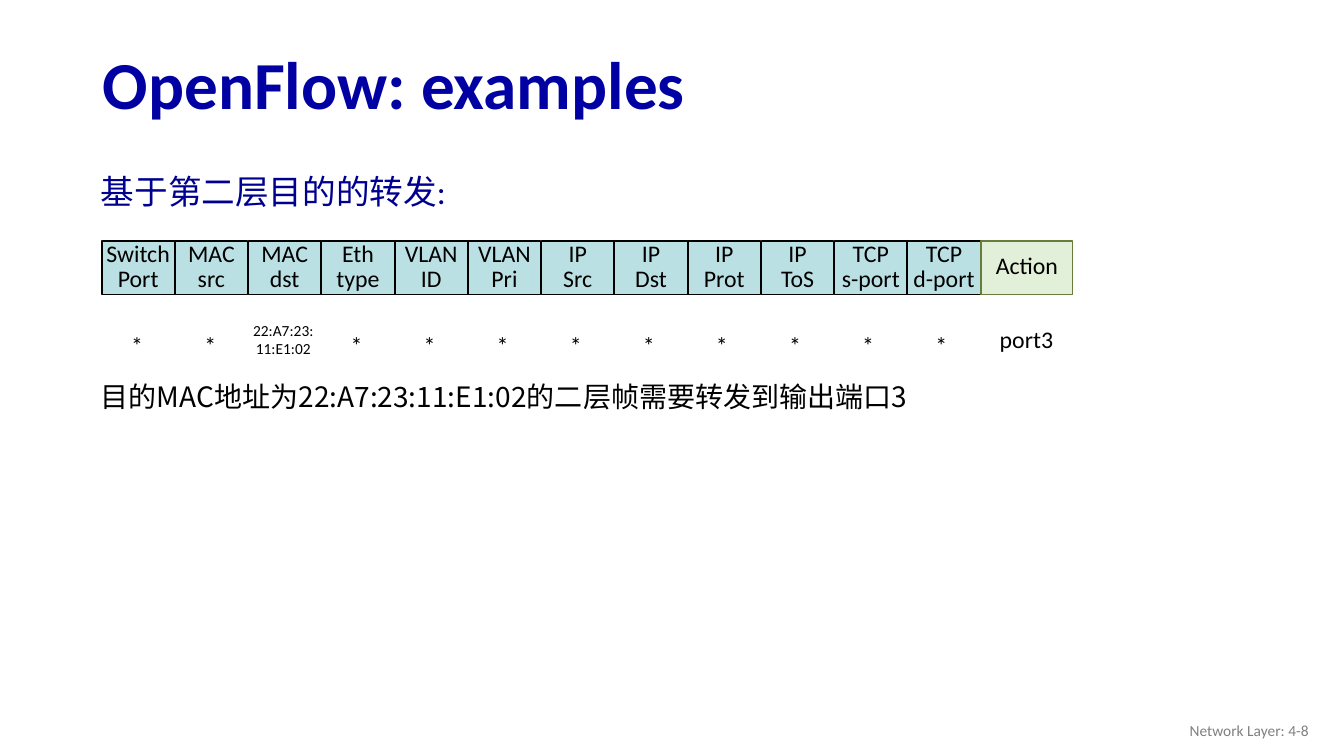
import pptx
import pptx.dml.color
import pptx.enum.shapes
import pptx.enum.text
import pptx.oxml.ns
import pptx.util
from lxml import etree

Inches = pptx.util.Inches
Pt = pptx.util.Pt
RGBColor = pptx.dml.color.RGBColor
ALIGN = pptx.enum.text.PP_ALIGN
MIDDLE = pptx.enum.text.MSO_ANCHOR.MIDDLE

TITLE_BLUE = RGBColor(0x00, 0x00, 0xA3)
HEADING_BLUE = RGBColor(0x00, 0x00, 0x90)
BLACK = RGBColor(0x00, 0x00, 0x00)
GREY = RGBColor(0x80, 0x80, 0x80)
MATCH_FILL = RGBColor(0xBB, 0xE0, 0xE3)
ACTION_FILL = RGBColor(0xE2, 0xF0, 0xD9)
ACTION_LINE = RGBColor(0x69, 0x7D, 0x3A)

LATIN_FONT = "Calibri"
CHINESE_FONT = "Noto Sans CJK SC"

MATCH_FIELDS = ["Switch\nPort", "MAC\nsrc", "MAC\ndst", "Eth\ntype",
                "VLAN\nID", "VLAN\nPri", "IP\nSrc", "IP\nDst",
                "IP\nProt", "IP\nToS", "TCP\ns-port", "TCP\nd-port"]
MAC_DST = MATCH_FIELDS.index("MAC\ndst")
MAC_ADDRESS = "22:A7:23:\n11:E1:02"


def set_values(target, values):
    for attribute, value in values.items():
        setattr(target, attribute, value)


def write(shape, text, size, color=BLACK, font=LATIN_FONT, bold=False,
          align=ALIGN.LEFT, spacing=1.0, inset=0, wrap=True):
    """Fill a shape with text, one paragraph for each line."""
    frame = shape.text_frame
    margins = ("margin_left", "margin_right", "margin_top", "margin_bottom")
    set_values(frame, dict.fromkeys(margins, Inches(inset)))
    set_values(frame, {"text": text, "vertical_anchor": MIDDLE, "word_wrap": wrap})
    for paragraph in frame.paragraphs:
        set_values(paragraph, {"alignment": align, "line_spacing": spacing})
        for run in paragraph.runs:
            set_values(run.font, {"size": Pt(size), "name": font, "bold": bold})
            run.font.color.rgb = color
            east_asian = etree.Element(pptx.oxml.ns.qn("a:ea"), typeface=CHINESE_FONT)
            run.font._element.find(pptx.oxml.ns.qn("a:latin")).addnext(east_asian)


def add_text(slide, box, text, size, **style):
    label = slide.shapes.add_textbox(*map(Inches, box))
    write(label, text, size, **style)


def add_title(slide, box, text):
    title = slide.shapes.title
    edges = dict(zip(("left", "top", "width", "height"), map(Inches, box)))
    set_values(title, edges)
    write(title, text, 48, color=TITLE_BLUE, bold=True, spacing=0.9, inset=0.1)


def add_cell(slide, box, text, fill, line):
    cell = slide.shapes.add_shape(
        pptx.enum.shapes.MSO_SHAPE.RECTANGLE, *map(Inches, box))
    cell.shadow.inherit = False
    cell.fill.solid()
    cell.fill.fore_color.rgb = fill
    cell.line.color.rgb = line
    cell.line.width = Pt(1)
    write(cell, text, 17, align=ALIGN.CENTER, spacing=0.85)


def add_header(slide, box):
    """Draw the match fields and, in the last 0.91 inches, the action."""
    left, top, width, height = box
    action_width = 0.91
    pitch = (width - action_width) / len(MATCH_FIELDS)
    for column, field in enumerate(MATCH_FIELDS):
        add_cell(slide, (left + column * pitch, top, 0.72, height),
                 field, MATCH_FILL, BLACK)
    add_cell(slide, (left + width - action_width, top, action_width, height),
             "Action", ACTION_FILL, ACTION_LINE)


def add_flow_entry(slide, box, action):
    """Write one flow entry: wildcards, the MAC address and the action."""
    left, top, width, height = box
    value_width = 0.72
    pitch = 0.725
    for column in range(len(MATCH_FIELDS)):
        is_address = column == MAC_DST
        add_text(slide,
                 (left + column * pitch, top if is_address else top + 0.06,
                  value_width, height),
                 MAC_ADDRESS if is_address else "*",
                 11 if is_address else 17, align=ALIGN.CENTER)
    add_text(slide, (left + width - value_width, top, value_width, height),
             action, 17, align=ALIGN.CENTER)


def build_openflow_slide(deck):
    slide = deck.slides.add_slide(deck.slide_layouts.get_by_name("Title Only"))
    add_title(slide, (0.92, 0.38, 11.5, 0.98), "OpenFlow: examples")
    add_text(slide, (1, 1.7, 3.45, 0.4), "基于第二层目的的转发:", 24,
             color=HEADING_BLUE, wrap=False)
    add_header(slide, (1.01, 2.39, 9.63, 0.53))
    add_flow_entry(slide, (1, 3.19, 9.54, 0.35), "port3")
    add_text(slide, (1, 3.76, 10.22, 0.34),
             "目的MAC地址为22:A7:23:11:E1:02的二层帧需要转发到输出端口3",
             20, font=CHINESE_FONT)
    add_text(slide, (10.08, 7.05, 3, 0.4), "Network Layer: 4-8", 11,
             color=GREY, align=ALIGN.RIGHT, inset=0.1)


def main():
    deck = pptx.Presentation()
    set_values(deck, {"slide_width": Inches(13.33), "slide_height": Inches(7.5)})
    build_openflow_slide(deck)
    deck.save("out.pptx")


if __name__ == "__main__":
    main()
